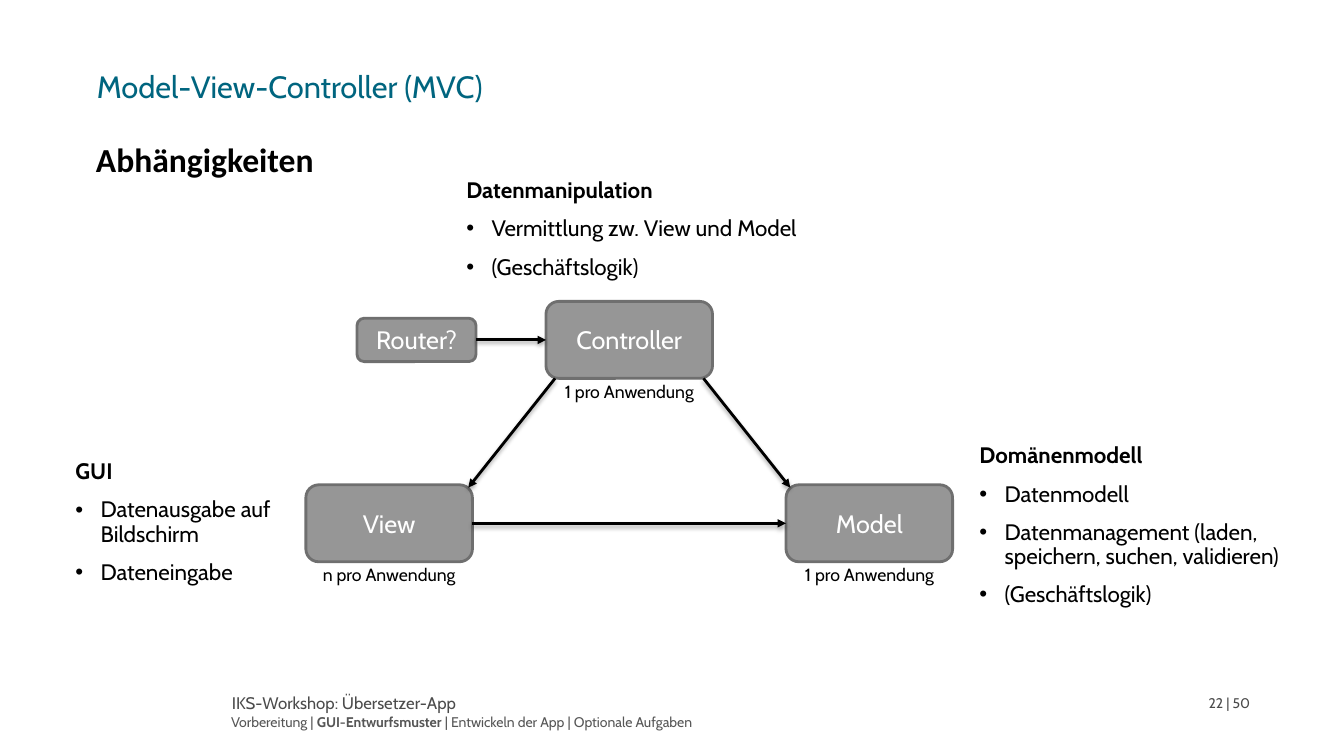
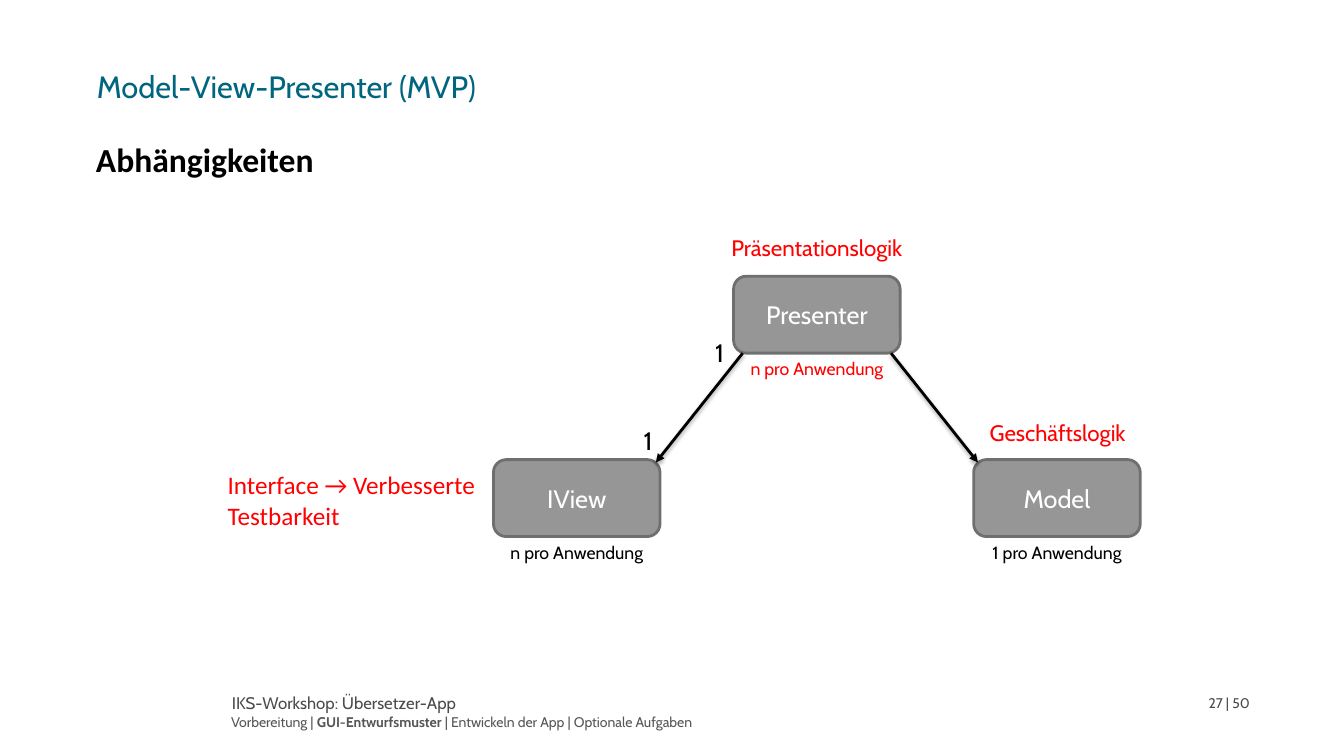
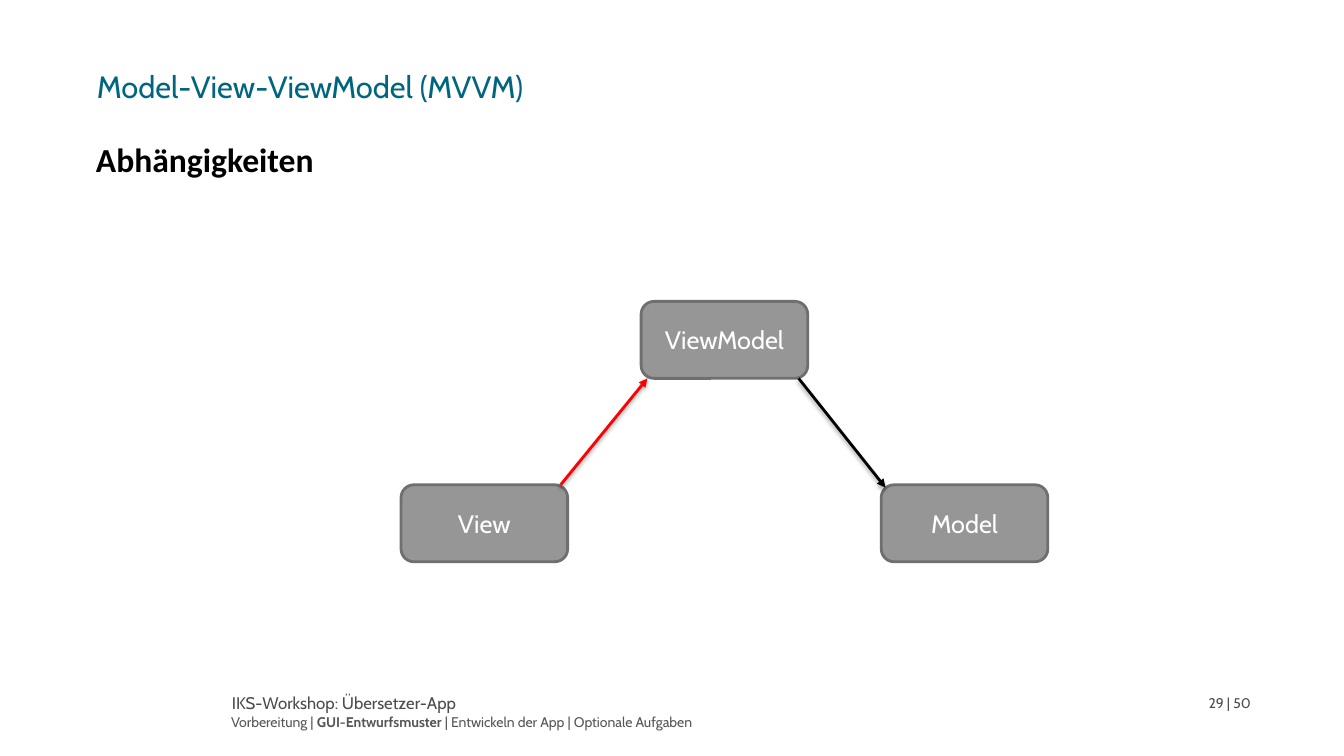
from lxml import etree
from pptx import Presentation
from pptx.dml.color import RGBColor
from pptx.enum.shapes import MSO_CONNECTOR, MSO_SHAPE
from pptx.enum.text import MSO_ANCHOR, MSO_AUTO_SIZE, PP_ALIGN
from pptx.oxml import parse_xml
from pptx.oxml.ns import nsdecls, qn
from pptx.util import Pt

LEFT, CENTER = PP_ALIGN.LEFT, PP_ALIGN.CENTER
TOP, MIDDLE = MSO_ANCHOR.TOP, MSO_ANCHOR.MIDDLE
NO_FIT = MSO_AUTO_SIZE.NONE
ROUNDED = MSO_SHAPE.ROUNDED_RECTANGLE
STRAIGHT = MSO_CONNECTOR.STRAIGHT

TEAL = RGBColor(0x00, 0x65, 0x7F)
BLACK = RGBColor(0x00, 0x00, 0x00)
RED = RGBColor(0xFF, 0x00, 0x00)
WHITE = RGBColor(0xFF, 0xFF, 0xFF)
NODE_FILL = RGBColor(0x96, 0x96, 0x96)
NODE_LINE = RGBColor(0x6F, 0x6F, 0x6F)
FOOTER_GRAY = RGBColor(0x4B, 0x4B, 0x4B)
SECTION_GRAY = RGBColor(0x56, 0x56, 0x56)

FONT, HEADING_FONT = "Cabin", "Calibri"
INSETS = (7.2, 3.6)

HEADING = "Abhängigkeiten"
FOOTER = "IKS-Workshop: Übersetzer-App"
SECTIONS = ["Vorbereitung", "GUI-Entwurfsmuster", "Entwickeln der App", "Optionale Aufgaben"]
CURRENT_SECTION = "GUI-Entwurfsmuster"
PAGE_COUNT = 50

NODE_WIDTH, NODE_HEIGHT = 119, 55
SIDE_STEP, DROP = 171.5, 131

DIAGRAMS = [
    {
        "title": "Model-View-Controller (MVC)",
        "page": 22,
        "apex": (390, 215.3),
        "nodes": ["Controller", "View", "Model"],
        "captions": [("1 pro Anwendung", BLACK), ("n pro Anwendung", BLACK), ("1 pro Anwendung", BLACK)],
        "caption_gap": 2,
        "router": "Router?",
        "view_to_model": True,
        "lists": [
            ((326, 124.6, 267, 80), "Datenmanipulation",
             ["Vermittlung zw. View und Model", "(Geschäftslogik)"]),
            ((692.6, 314, 255, 125), "Domänenmodell",
             ["Datenmodell", "Datenmanagement (laden, speichern, suchen, validieren)", "(Geschäftslogik)"]),
            ((46.8, 325.4, 172, 97), "GUI",
             ["Datenausgabe auf Bildschirm", "Dateneingabe"]),
        ],
    },
    {
        "title": "Model-View-Presenter (MVP)",
        "page": 27,
        "apex": (524, 197.3),
        "nodes": ["Presenter", "IView", "Model"],
        "captions": [("n pro Anwendung", RED), ("n pro Anwendung", BLACK), ("1 pro Anwendung", BLACK)],
        "caption_gap": 4,
        "labels": [
            ((497.5, 239.8, 33, 29), "1", dict(size=18, align=CENTER, spacing=0.9)),
            ((446.4, 302.4, 33, 29), "1", dict(size=18, align=CENTER, spacing=0.9)),
            ((502, 165.6, 163, 25), "Präsentationslogik",
             dict(size=16, color=RED, align=CENTER, spacing=0.9)),
            ((674, 298, 163, 25), "Geschäftslogik",
             dict(size=16, color=RED, align=CENTER, spacing=0.9)),
            ((155.5, 332, 191.5, 51), "Interface → Verbesserte Testbarkeit",
             dict(size=18, color=RED, font=HEADING_FONT)),
        ],
    },
    {
        "title": "Model-View-ViewModel (MVVM)",
        "page": 29,
        "apex": (458, 215.3),
        "nodes": ["ViewModel", "View", "Model"],
        "view_to_apex": True,
    },
]


def style_runs(paragraph, size, color, font=FONT, bold=False):
    for run in paragraph.runs:
        run.font.size = Pt(size)
        run.font.name = font
        run.font.bold = bold
        run.font.color.rgb = color


def set_frame(text_frame, insets=INSETS, anchor=TOP):
    text_frame.word_wrap = True
    text_frame.auto_size = NO_FIT
    text_frame.vertical_anchor = anchor
    text_frame.margin_left = text_frame.margin_right = Pt(insets[0])
    text_frame.margin_top = text_frame.margin_bottom = Pt(insets[1])


def add_text(slide, box, text, size, color=BLACK, font=FONT, bold=False,
             align=LEFT, spacing=1.0, insets=INSETS):
    text_frame = slide.shapes.add_textbox(*map(Pt, box)).text_frame
    set_frame(text_frame, insets)
    text_frame.text = text
    paragraph = text_frame.paragraphs[0]
    paragraph.alignment = align
    paragraph.line_spacing = spacing
    style_runs(paragraph, size, color, font, bold)
    return text_frame


def add_list(slide, box, heading, items):
    text_frame = add_text(slide, box, heading, 16, bold=True, spacing=0.9)
    for item in items:
        paragraph = text_frame.add_paragraph()
        paragraph.text = item
        properties = paragraph._p.get_or_add_pPr()
        properties.set("marL", str(Pt(18)))
        properties.set("indent", str(-Pt(18)))
        etree.SubElement(properties, qn("a:buFont")).set("typeface", "Arial")
        etree.SubElement(properties, qn("a:buChar")).set("char", "•")
        paragraph.line_spacing = 0.9
        paragraph.space_before = Pt(10)
        style_runs(paragraph, 16, BLACK)


def add_node(slide, box, name):
    shape = slide.shapes.add_shape(ROUNDED, *map(Pt, box))
    shape.shadow.inherit = False
    shape.fill.solid()
    shape.fill.fore_color.rgb = NODE_FILL
    shape.line.color.rgb = NODE_LINE
    shape.line.width = Pt(2)
    set_frame(shape.text_frame, anchor=MIDDLE)
    shape.text_frame.text = name
    paragraph = shape.text_frame.paragraphs[0]
    paragraph.alignment = CENTER
    style_runs(paragraph, 18, WHITE)


def add_arrow(slide, start, end, color=BLACK):
    connector = slide.shapes.add_connector(STRAIGHT, *map(Pt, start + end))
    connector.line.color.rgb = color
    connector.line.width = Pt(2)
    etree.SubElement(connector.line._get_or_add_ln(), qn("a:tailEnd")).set("type", "triangle")
    connector._element.spPr.append(parse_xml(
        f'<a:effectLst {nsdecls("a")}>'
        f'<a:outerShdw blurRad="{Pt(3.1)}" dist="{Pt(1.8)}" dir="5400000" rotWithShape="0">'
        '<a:srgbClr val="000000"><a:alpha val="35000"/></a:srgbClr>'
        '</a:outerShdw></a:effectLst>'))


def add_frame(slide, diagram):
    title = slide.shapes.title
    title.left, title.top, title.width, title.height = map(Pt, (62, 44.6, 689, 31))
    set_frame(title.text_frame)
    title.text_frame.text = diagram["title"]
    paragraph = title.text_frame.paragraphs[0]
    paragraph.alignment = LEFT
    style_runs(paragraph, 22, TEAL)

    add_text(slide, (61.5, 95.8, 177, 36), HEADING, 24, font=HEADING_FONT, bold=True)
    add_text(slide, (165.6, 491.8, 595, 19), FOOTER, 12, FOOTER_GRAY, spacing=1.2, insets=(0, 0))
    add_text(slide, (863.3, 496, 45, 12), f"{diagram['page']} | {PAGE_COUNT}", 10,
             FOOTER_GRAY, insets=(0, 0))

    before, after = " | ".join(SECTIONS).split(CURRENT_SECTION)
    sections = add_text(slide, (165, 506.2, 392, 19.4), before, 10, SECTION_GRAY, insets=(0, 3.6))
    paragraph = sections.paragraphs[0]
    for text in (CURRENT_SECTION, after):
        paragraph.add_run().text = text
    style_runs(paragraph, 10, SECTION_GRAY)
    paragraph.runs[1].font.bold = True


def add_diagram(slide, diagram):
    x, y = diagram["apex"]
    left_x, right_x = x - SIDE_STEP, x + SIDE_STEP
    bottom, lower = y + NODE_HEIGHT, y + DROP
    view_right = left_x + NODE_WIDTH
    corners = [(x, y), (left_x, lower), (right_x, lower)]

    for (node_x, node_y), name in zip(corners, diagram["nodes"]):
        add_node(slide, (node_x, node_y, NODE_WIDTH, NODE_HEIGHT), name)
    for (node_x, node_y), (caption, color) in zip(corners, diagram.get("captions", [])):
        top = node_y + NODE_HEIGHT + diagram["caption_gap"]
        add_text(slide, (node_x, top, NODE_WIDTH, 29), caption, 12.6, color, align=CENTER, spacing=0.7)

    if diagram.get("view_to_apex"):
        add_arrow(slide, (view_right - 5, lower), (x + 4.5, bottom), RED)
    else:
        add_arrow(slide, (x + 6.5, bottom), (view_right - 3, lower + 2))
    add_arrow(slide, (x + NODE_WIDTH - 6.5, bottom), (right_x + 3, lower + 2))
    if diagram.get("view_to_model"):
        middle = lower + NODE_HEIGHT / 2
        add_arrow(slide, (view_right, middle), (right_x, middle))
    if "router" in diagram:
        width, height, gap = 85, 31, 50
        middle = y + NODE_HEIGHT / 2
        add_node(slide, (x - gap - width, middle - height / 2, width, height), diagram["router"])
        add_arrow(slide, (x - gap, middle), (x, middle))

    for box, heading, items in diagram.get("lists", []):
        add_list(slide, box, heading, items)
    for box, text, style in diagram.get("labels", []):
        add_text(slide, box, text, **style)


def main():
    presentation = Presentation()
    presentation.slide_width, presentation.slide_height = Pt(960), Pt(540)
    title_only = presentation.slide_layouts[5]
    for diagram in DIAGRAMS:
        slide = presentation.slides.add_slide(title_only)
        add_frame(slide, diagram)
        add_diagram(slide, diagram)
    presentation.save("out.pptx")


if __name__ == "__main__":
    main()
